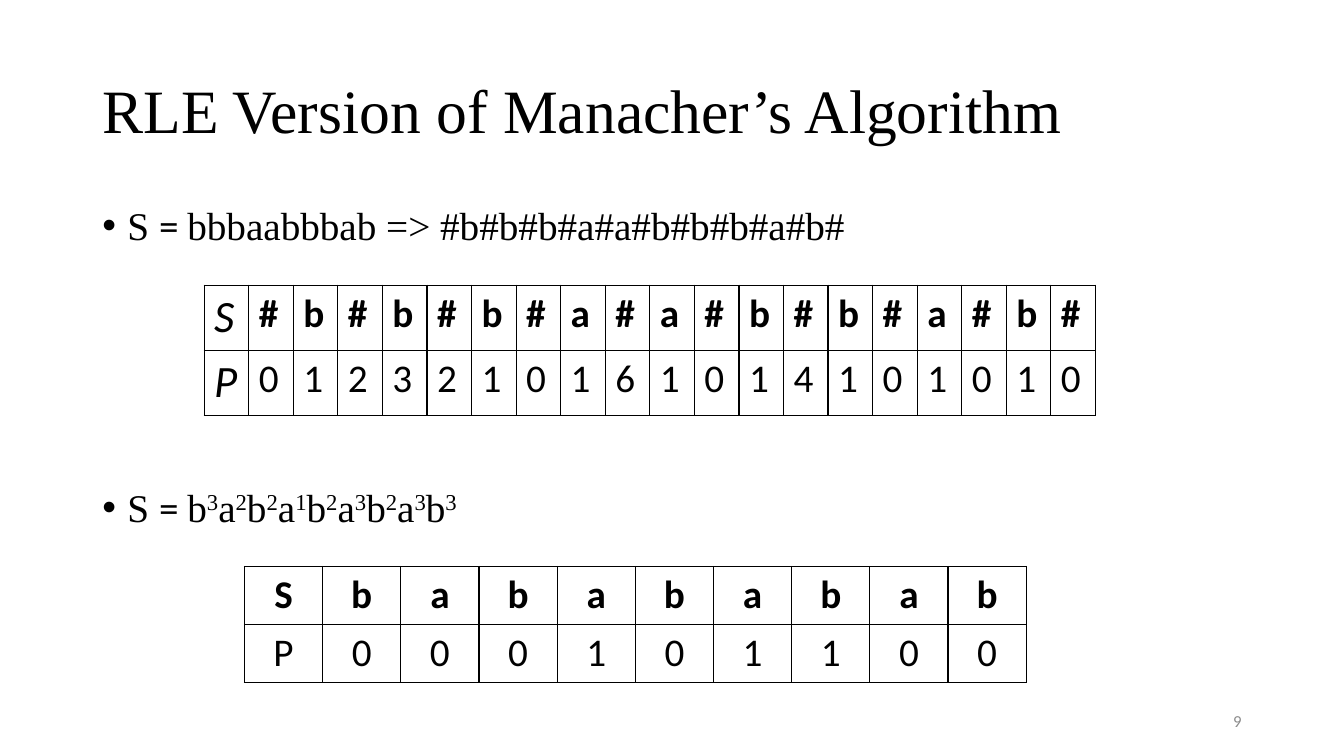
from dataclasses import dataclass

from lxml.etree import SubElement
from pptx import Presentation
from pptx.dml.color import RGBColor
from pptx.enum.text import MSO_ANCHOR, MSO_AUTO_SIZE, PP_ALIGN
from pptx.oxml.ns import qn
from pptx.slide import Slide
from pptx.table import _Cell
from pptx.text.text import _Paragraph
from pptx.util import Inches, Length, Pt

BLACK = RGBColor(0x00, 0x00, 0x00)
WHITE = RGBColor(0xFF, 0xFF, 0xFF)
GRAY = RGBColor(0x8C, 0x8C, 0x8C)
SERIF, SANS = "Times New Roman", "Calibri"

# The slide is a grid of 160 columns by 90 square cells
COLUMNS, ROWS = 160, 90
CELL = Inches(7.5) // ROWS
MARGIN, CONTENT_WIDTH = 11, 138


@dataclass
class Piece:
    text: str
    font: str = SERIF
    superscript: bool = False


@dataclass
class RadiusTable:
    left: float
    top: float
    column_width: float
    row_height: float
    symbols: str
    radii: str
    align: PP_ALIGN = PP_ALIGN.LEFT
    large_italic_labels: bool = False


def grid(count: float) -> Length:
    return Length(round(count * CELL))


def add_run(paragraph: _Paragraph, text: str, font: str, size: float,
            color: RGBColor = BLACK, bold: bool = False,
            italic: bool = False, superscript: bool = False) -> None:
    run = paragraph.add_run()
    run.text = text
    run.font.name, run.font.size = font, Pt(size)
    run.font.bold, run.font.italic = bold, italic
    run.font.color.rgb = color
    if superscript:
        run._r.get_or_add_rPr().set("baseline", "30000")


def add_bullet(paragraph: _Paragraph, pieces: list[Piece], before: float) -> None:
    properties = paragraph._p.get_or_add_pPr()
    properties.set("marL", str(Inches(0.25)))
    properties.set("indent", str(-Inches(0.25)))
    SubElement(properties, qn("a:buFont"), typeface="Arial")
    SubElement(properties, qn("a:buChar"), char="•")
    paragraph.line_spacing = 0.9
    paragraph.space_before = Pt(before)
    for piece in pieces:
        add_run(paragraph, piece.text, piece.font, 28, superscript=piece.superscript)


def outline_cell(cell: _Cell) -> None:
    properties = cell._tc.get_or_add_tcPr()
    for side in ("lnL", "lnR", "lnT", "lnB"):
        line = SubElement(properties, qn(f"a:{side}"), w=str(Pt(1)))
        paint = SubElement(line, qn("a:solidFill"))
        SubElement(paint, qn("a:srgbClr"), val=str(BLACK))
    cell.fill.solid()
    cell.fill.fore_color.rgb = WHITE


def add_radius_table(slide: Slide, spec_: RadiusTable) -> None:
    lines = ("S" + spec_.symbols, "P" + spec_.radii)
    count = len(lines[0])
    table = slide.shapes.add_table(
        len(lines), count, grid(spec_.left), grid(spec_.top),
        grid(count * spec_.column_width), grid(len(lines) * spec_.row_height)).table
    table.first_row = table.horz_banding = False
    for column in table.columns:
        column.width = grid(spec_.column_width)
    for row_index, line in enumerate(lines):
        table.rows[row_index].height = grid(spec_.row_height)
        for column_index, value in enumerate(line):
            cell = table.cell(row_index, column_index)
            outline_cell(cell)
            label = spec_.large_italic_labels and column_index == 0
            paragraph = cell.text_frame.paragraphs[0]
            paragraph.alignment = spec_.align
            add_run(paragraph, value, SANS, 32 if label else 28,
                    bold=row_index == 0 and not label, italic=label)


EXPANDED_STRING = [
    Piece("S "), Piece("= ", SANS), Piece("bbbaabbbab => #b#b#b#a#a#b#b#b#a#b#")]
RUN_LENGTHS = ("b3", "a2", "b2", "a1", "b2", "a3", "b2", "a3", "b3")
ENCODED_STRING = [Piece("S "), Piece("= ", SANS)] + [
    Piece(mark, superscript=mark.isdigit()) for pair in RUN_LENGTHS for mark in pair]

RADIUS_TABLES = (
    RadiusTable(24.3, 33.96, 5.31, 7.74, "#b#b#b#a#a#b#b#a#b#",
                "0123210161014101010", large_italic_labels=True),
    RadiusTable(29.1, 67.44, 9.31, 6.9, "babababab", "000101100", PP_ALIGN.CENTER),
)


def build() -> None:
    deck = Presentation()
    deck.slide_width, deck.slide_height = grid(COLUMNS), grid(ROWS)
    slide = deck.slides.add_slide(deck.slide_layouts[5])

    # Title
    title = slide.shapes.title
    title.left, title.top = grid(MARGIN), grid(4.8)
    title.width, title.height = grid(CONTENT_WIDTH), grid(17.4)
    heading = title.text_frame
    heading.auto_size = MSO_AUTO_SIZE.NONE
    heading.vertical_anchor = MSO_ANCHOR.MIDDLE
    heading.paragraphs[0].alignment = PP_ALIGN.LEFT
    heading.paragraphs[0].line_spacing = 0.9
    add_run(heading.paragraphs[0], "RLE Version of Manacher’s Algorithm", SERIF, 44)

    # The string written out, then run-length encoded
    strings = slide.shapes.add_textbox(
        grid(MARGIN), grid(24), grid(CONTENT_WIDTH), grid(57.1)).text_frame
    strings.word_wrap = True
    add_bullet(strings.paragraphs[0], EXPANDED_STRING, before=0)
    add_bullet(strings.add_paragraph(), ENCODED_STRING, before=171)

    # Palindrome radii of both forms
    for radius_table in RADIUS_TABLES:
        add_radius_table(slide, radius_table)

    # Slide number
    number = slide.shapes.add_textbox(
        grid(113), grid(83.4), grid(36), grid(4.8)).text_frame
    number.word_wrap = True
    number.vertical_anchor = MSO_ANCHOR.MIDDLE
    number.paragraphs[0].alignment = PP_ALIGN.RIGHT
    add_run(number.paragraphs[0], "9", SANS, 12, GRAY)

    deck.save("out.pptx")


if __name__ == "__main__":
    build()
